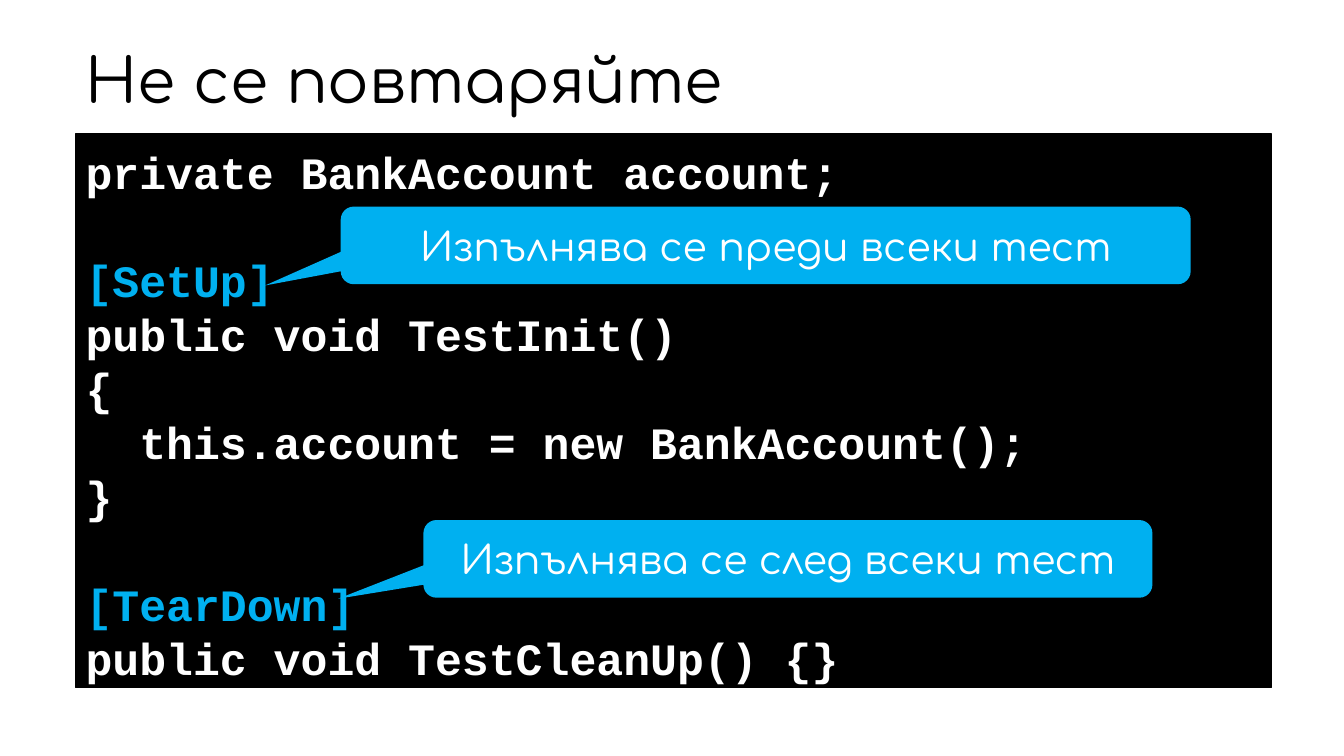
from pptx import Presentation
from pptx.dml.color import RGBColor
from pptx.enum.shapes import MSO_SHAPE
from pptx.enum.text import MSO_ANCHOR, PP_ALIGN
from pptx.util import Inches, Pt

WHITE, BLACK, BLUE = "FFFFFF", "000000", "00B0F0"
TITLE = {"name": "Comfortaa", "size": Pt(44), "bold": False}
NOTE = {"name": "Comfortaa", "size": Pt(28), "bold": False}
CODE = {"name": "Courier New", "size": Pt(32), "bold": True}
PITCH = Pt(38.6)
BLOCKS = [
    ["private BankAccount account;"],
    ["[SetUp]", "public void TestInit()", "{",
     "  this.account = new BankAccount();", "}"],
    ["[TearDown]", "public void TestCleanUp() {}"],
]
NOTES = [
    ("Изпълнява се преди всеки тест", (3.38, 2.05, 8.43, 0.77), (-0.589, 0.516, 0.167)),
    ("Изпълнява се след всеки тест", (4.2, 5.16, 7.23, 0.77), (-0.617, 0.513, 0.167)),
]


def assign(item, values):
    for name, value in values.items():
        setattr(item, name, value)


def paint(target, color):
    target.rgb = RGBColor.from_string(color)


def write(para, text, style, color, **layout):
    run = para.add_run()
    run.text = text
    assign(run.font, style)
    paint(run.font.color, color)
    assign(para, layout)


def add_title(slide, text, box):
    title = slide.shapes.title
    assign(title, dict(zip(("left", "top", "width", "height"), map(Inches, box))))
    frame = title.text_frame
    assign(frame, {"word_wrap": True, "vertical_anchor": MSO_ANCHOR.MIDDLE})
    write(frame.paragraphs[0], text, TITLE, BLACK,
          alignment=PP_ALIGN.LEFT, line_spacing=0.9)


def add_box(slide, kind, box, color):
    shape = slide.shapes.add_shape(kind, *map(Inches, box))
    shape.shadow.inherit = False
    shape.fill.solid()
    paint(shape.fill.fore_color, color)
    shape.line.fill.background()
    shape.text_frame.word_wrap = True
    return shape


def add_code(slide, blocks, box):
    shape = add_box(slide, MSO_SHAPE.RECTANGLE, box, BLACK)
    shape.line.fill.solid()
    paint(shape.line.color, BLACK)
    shape.line.width = Pt(1)
    frame = shape.text_frame
    assign(frame, {"vertical_anchor": MSO_ANCHOR.TOP,
                   "margin_top": Inches(0.1), "margin_bottom": Inches(0.03)})
    para = frame.paragraphs[0]
    for block, lines in enumerate(blocks):
        for row, line in enumerate(lines):
            if block or row:
                para = frame.add_paragraph()
            color = BLUE if line.startswith("[") else WHITE
            gap = PITCH if block and not row else Pt(0)
            write(para, line, CODE, color, alignment=PP_ALIGN.LEFT,
                  line_spacing=PITCH, space_before=gap)


def add_note(slide, text, box, tail):
    shape = add_box(slide, MSO_SHAPE.ROUNDED_RECTANGULAR_CALLOUT, box, BLUE)
    for index, value in enumerate(tail):
        shape.adjustments[index] = value
    frame = shape.text_frame
    frame.vertical_anchor = MSO_ANCHOR.MIDDLE
    write(frame.paragraphs[0], text, NOTE, WHITE, alignment=PP_ALIGN.CENTER)


def main():
    deck = Presentation()
    assign(deck, {"slide_width": Inches(13.33), "slide_height": Inches(7.5)})
    slide = deck.slides.add_slide(deck.slide_layouts[5])
    add_title(slide, "Не се повтаряйте", (0.75, 0.33, 11.86, 1))
    add_code(slide, BLOCKS, (0.75, 1.33, 11.86, 5.49))
    for note in NOTES:
        add_note(slide, *note)
    deck.save("out.pptx")


if __name__ == "__main__":
    main()
